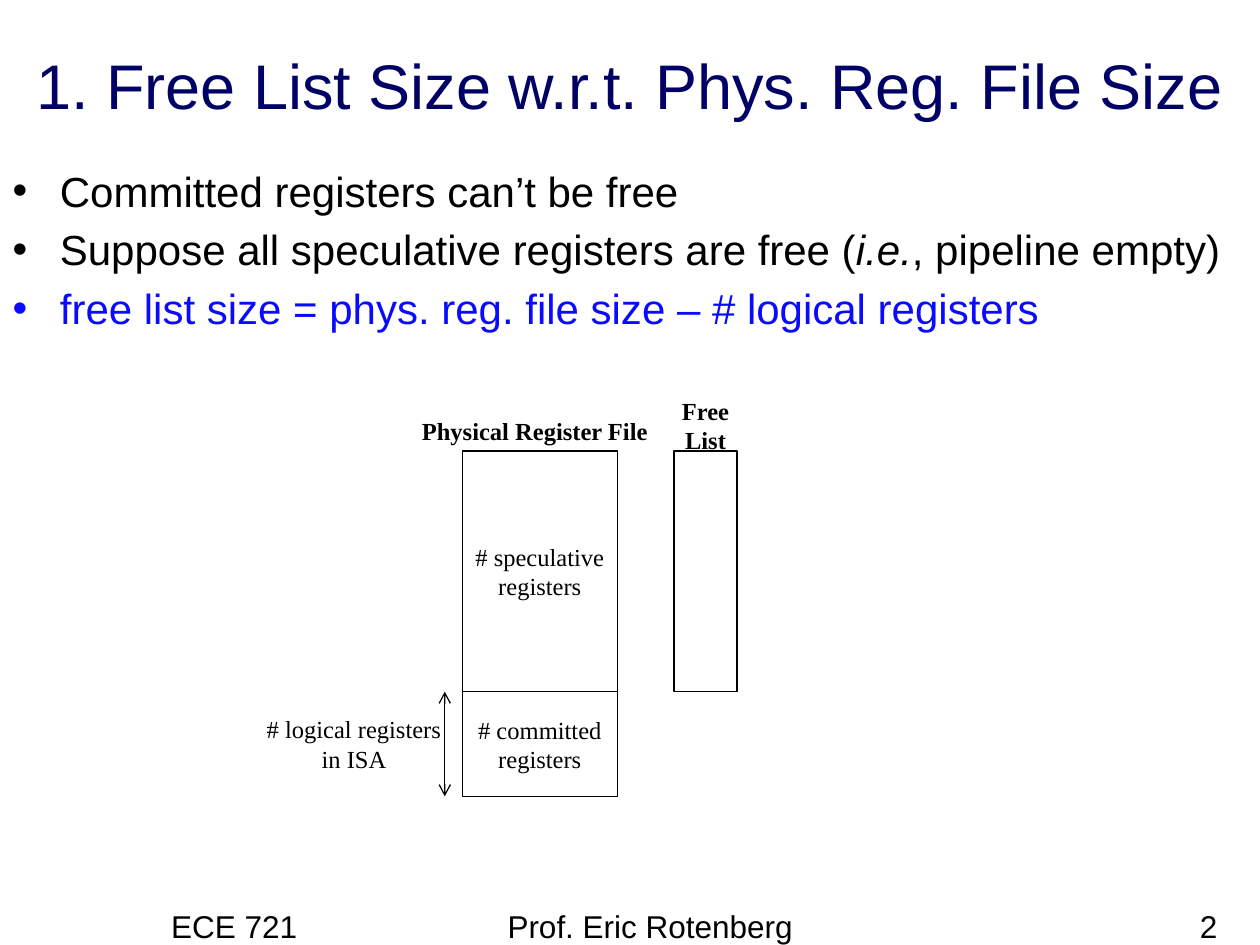
import pptx
import pptx.util
import pptx.dml.color
import pptx.enum.shapes
import pptx.enum.text
import pptx.oxml
import pptx.oxml.ns

Inches = pptx.util.Inches
Pt = pptx.util.Pt
ALIGN = pptx.enum.text.PP_ALIGN
ANCHOR = pptx.enum.text.MSO_ANCHOR
FIT = pptx.enum.text.MSO_AUTO_SIZE
qn = pptx.oxml.ns.qn
SANS, SERIF = "Arial", "Times New Roman"
BLACK = "000000"


def tint(hue):
    return pptx.dml.color.RGBColor.from_string(hue)


def inch(box):
    return [Inches(side) for side in box]


def move(shape, box):
    shape.left, shape.top, shape.width, shape.height = inch(box)


def style(para, face, size, hue=BLACK, bold=False, align=ALIGN.LEFT):
    para.alignment = align
    for run in para.runs:
        font = run.font
        font.name, font.size, font.bold = face, Pt(size), bold
        font.color.rgb = tint(hue)
    for gap in para._p.findall(qn("a:br")):
        pptx.oxml.ns.qn
        props = gap.makeelement(qn("a:rPr"), {"sz": str(size * 100)})
        gap.append(props)


def label(slide, box, text, bold=False):
    shape = slide.shapes.add_textbox(*inch(box))
    frame = shape.text_frame
    frame.word_wrap = False
    frame.auto_size = FIT.SHAPE_TO_FIT_TEXT
    para = frame.paragraphs[0]
    para.text = text
    style(para, SERIF, 14, bold=bold, align=ALIGN.CENTER)


def block(slide, box, text=""):
    shape = slide.shapes.add_shape(
        pptx.enum.shapes.MSO_SHAPE.RECTANGLE, *inch(box))
    shape.shadow.inherit = False
    shape.fill.background()
    shape.line.color.rgb = tint(BLACK)
    shape.line.width = Pt(0.75)
    frame = shape.text_frame
    frame.word_wrap = False
    frame.vertical_anchor = ANCHOR.MIDDLE
    para = frame.paragraphs[0]
    para.text = text
    style(para, SERIF, 14, align=ALIGN.CENTER)


def span(slide, x, top, end):
    line = slide.shapes.add_connector(
        pptx.enum.shapes.MSO_CONNECTOR.STRAIGHT,
        *inch((x, top, x, end)))
    line.line.color.rgb = tint(BLACK)
    line.line.width = Pt(0.75)
    stroke = line.line._get_or_add_ln()
    for tag in ("a:headEnd", "a:tailEnd"):
        stroke.append(stroke.makeelement(qn(tag), {"type": "arrow"}))
    props = line._element.spPr
    props.append(props.makeelement(qn("a:effectLst"), {}))


def title(slide, box):
    shape = slide.shapes.title
    move(shape, box)
    frame = shape.text_frame
    frame.text = "1. Free List Size w.r.t. Phys. Reg. File Size"
    frame.vertical_anchor = ANCHOR.BOTTOM
    frame.auto_size = FIT.NONE
    style(frame.paragraphs[0], SANS, 36, "000066", align=ALIGN.CENTER)


def points(slide, box):
    shape = slide.placeholders[1]
    move(shape, box)
    frame = shape.text_frame
    frame.auto_size = FIT.NONE
    items = [
        (["Committed registers can’t be free"], BLACK),
        (["Suppose all speculative registers are free (", "i.e.",
          ", pipeline empty)"], BLACK),
        (["free list size = phys. reg. file size – # logical registers"],
         "0A0AFF"),
    ]
    frame.text = "\n".join("" for _ in items)
    for para, (parts, hue) in zip(frame.paragraphs, items):
        for part in parts:
            run = para.add_run()
            run.text = part
            run.font.italic = part == "i.e."
        style(para, SANS, 24, hue)


def chart(slide, box):
    left, top, width, height = box
    spec_h = 1.91
    split, end = top + spec_h, top + height
    free_x, free_w = left + 1.68, 0.5
    block(slide, (left, top, width, spec_h), "# speculative\nregisters")
    block(slide, (left, split, width, height - spec_h),
          "# committed\nregisters")
    span(slide, left - 0.14, split, end)
    label(slide, (left - 1.66, split + 0.13, 1.6, 0.57),
          "# logical registers\nin ISA")
    block(slide, (free_x, top, free_w, spec_h))
    label(slide, (left - 0.43, top - 0.33, 2.01, 0.34),
          "Physical Register File", True)
    label(slide, (free_x - 0.04, top - 0.49, 0.58, 0.57),
          "Free\nList", True)


def footer(slide, top, height):
    items = [
        (1.26, 2.08, "ECE 721", ALIGN.LEFT),
        (3.93, 3.17, "Prof. Eric Rotenberg", ALIGN.LEFT),
        (7.68, 2.08, "2", ALIGN.RIGHT),
    ]
    for left, width, text, align in items:
        shape = slide.shapes.add_textbox(*inch((left, top, width, height)))
        frame = shape.text_frame
        frame.word_wrap = True
        frame.text = text
        style(frame.paragraphs[0], SANS, 18, align=align)


def main():
    deck = pptx.Presentation()
    deck.slide_width, deck.slide_height = inch((10, 7.5))
    slide = deck.slides.add_slide(deck.slide_layouts[1])
    title(slide, (0, 0.31, 10, 0.71))
    points(slide, (0, 1.26, 10, 5.81))
    chart(slide, (3.67, 3.58, 1.23, 2.74))
    footer(slide, 7.15, 0.5)
    deck.save("out.pptx")


if __name__ == "__main__":
    main()
